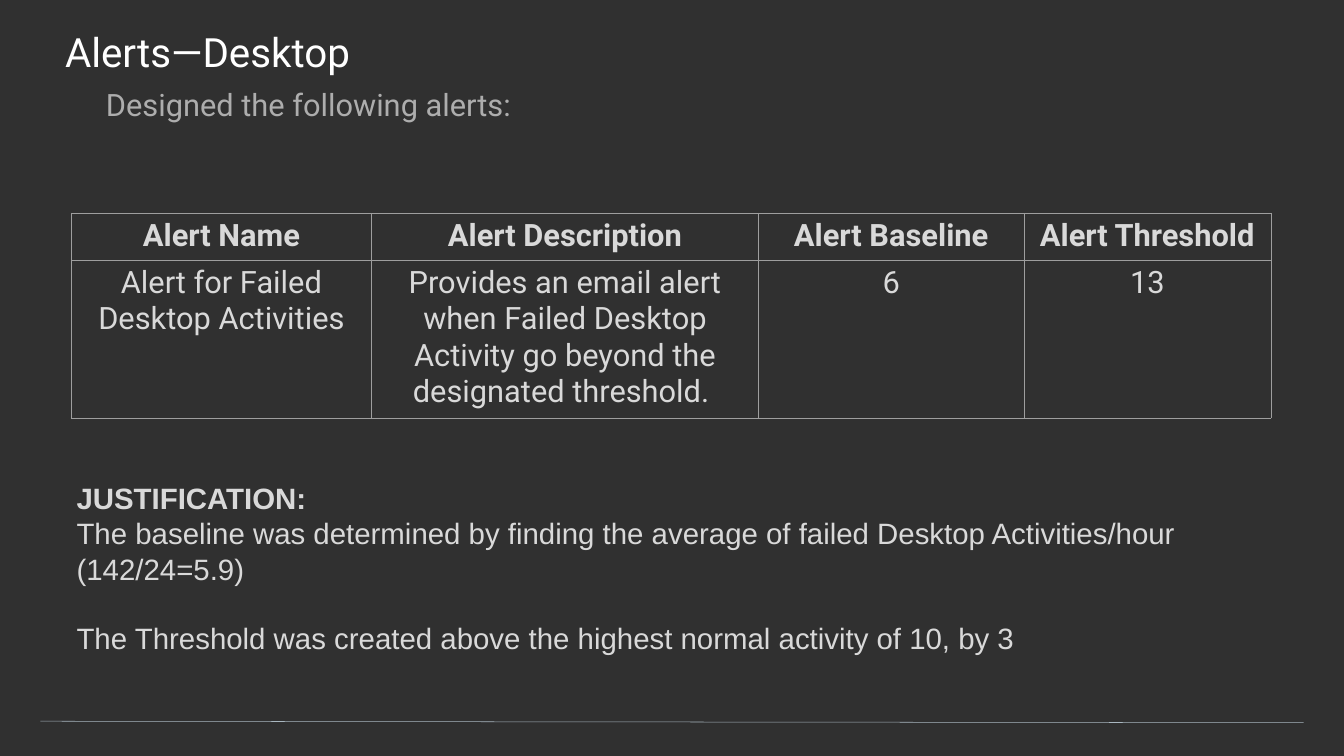
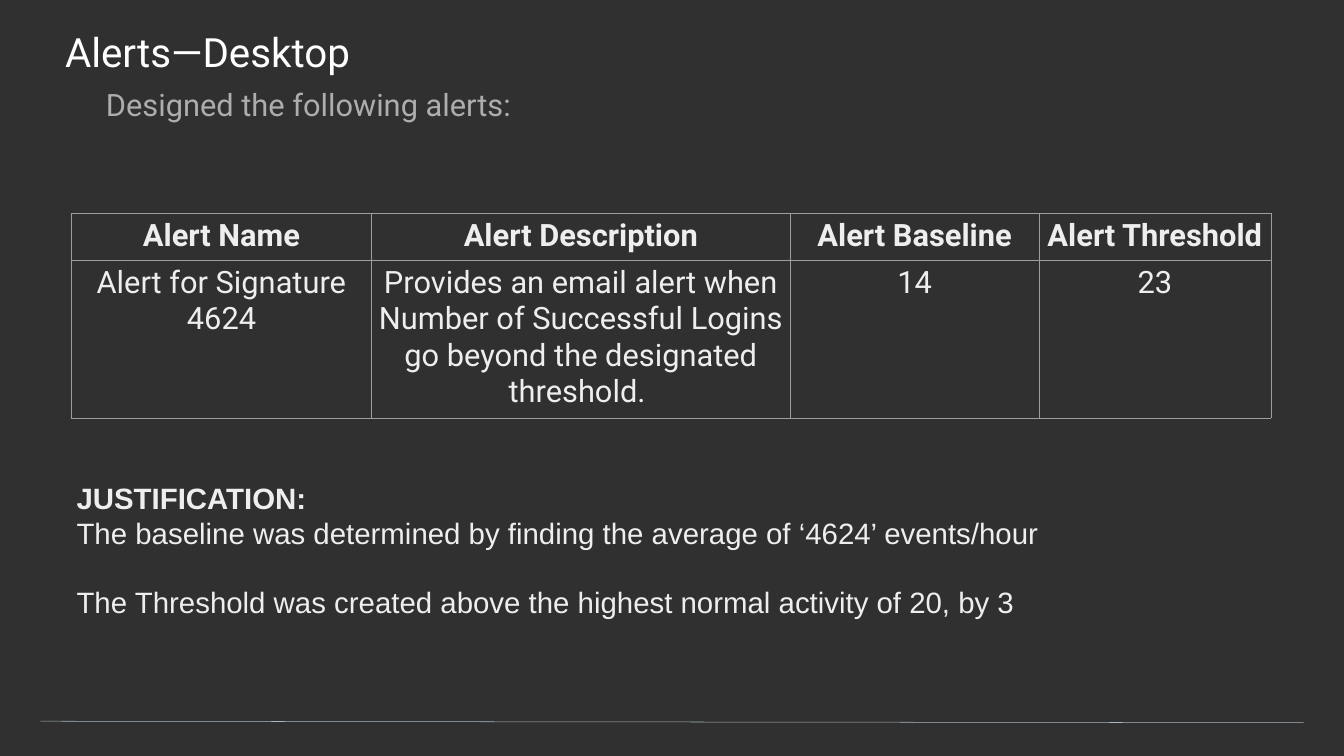
from dataclasses import dataclass

from lxml import etree
from pptx import Presentation
from pptx.dml.color import RGBColor
from pptx.enum.shapes import MSO_CONNECTOR
from pptx.enum.text import MSO_ANCHOR, MSO_AUTO_SIZE, PP_ALIGN
from pptx.oxml.ns import qn
from pptx.shapes.autoshape import Shape
from pptx.slide import Slide
from pptx.table import _Cell
from pptx.text.text import _Paragraph
from pptx.util import Emu, Pt

STRAIGHT = MSO_CONNECTOR.STRAIGHT
TOP = MSO_ANCHOR.TOP
CENTER = PP_ALIGN.CENTER
GROW = MSO_AUTO_SIZE.SHAPE_TO_FIT_TEXT

BACK, WHITE, MUTED = "303030", "FFFFFF", "ADADAD"
RULE, GRID = "A9B7C0", "9E9E9E"
HEAD, BODY = "Roboto", "Arial"
PAD = (10, 10, 10, 10)
HEADS = ("Alert Name", "Alert Description", "Alert Baseline", "Alert Threshold")


@dataclass(frozen=True)
class Style:
    font: str
    size: float
    color: str
    bold: bool = False


@dataclass(frozen=True)
class Alert:
    color: str
    cols: tuple[int, ...]
    rows: tuple[int, ...]
    cells: tuple[str, ...]
    basis: str
    limit: str
    height: int


ALERTS = (
    Alert(
        "D9D9D9", (595, 768, 526, 490), (42, 93),
        ("Alert for Failed Desktop Activities",
         "Provides an email alert when Failed Desktop Activity go beyond "
         "the designated threshold. ", "6", "13"),
        "The baseline was determined by finding the average of failed "
        "Desktop Activities/hour (142/24=5.9)",
        "The Threshold was created above the highest normal activity of 10, by 3",
        374,
    ),
    Alert(
        "EEEEEE", (595, 831, 493, 460), (42, 163),
        ("Alert for Signature 4624",
         "Provides an email alert when Number of Successful Logins go beyond "
         "the designated threshold. ", "14", "23"),
        "The baseline was determined by finding the average of "
        "‘4624’ events/hour",
        "The Threshold was created above the highest normal activity of 20, by 3",
        303,
    ),
)


def px(n: int) -> Emu:
    """Turn px, 100 to the inch, into EMU."""
    return Emu(n * 9144)


def rgb(color: str) -> RGBColor:
    return RGBColor.from_string(color)


def add_run(para: _Paragraph, text: str, style: Style) -> None:
    run = para.add_run()
    run.text = text
    font = run.font
    font.name, font.size, font.bold = style.font, Pt(style.size), style.bold
    font.color.rgb = rgb(style.color)


def add_box(slide: Slide, area: tuple[int, ...], pad: tuple[int, ...]) -> Shape:
    box = slide.shapes.add_textbox(*map(px, area))
    frame = box.text_frame
    frame.word_wrap = True
    frame.vertical_anchor = TOP
    (frame.margin_left, frame.margin_top,
     frame.margin_right, frame.margin_bottom) = map(px, pad)
    return box


def add_rule(slide: Slide) -> None:
    line = slide.shapes.add_connector(STRAIGHT, *map(px, (80, 1431, 2586, 1434)))
    line.line.color.rgb = rgb(RULE)
    line.line.width = Pt(0.75)
    etree.SubElement(line._element.spPr, qn("a:effectLst"))


def add_frame(slide: Slide) -> None:
    """Draw the background, rule, title and lead line of every slide."""
    fill = slide.background.fill
    fill.solid()
    fill.fore_color.rgb = rgb(BACK)
    add_rule(slide)
    title = add_box(slide, (-4, 0, 2673, 156), (133, 53, 80, 27))
    add_run(title.text_frame.paragraphs[0], "Alerts—Desktop",
            Style(HEAD, 57.6, WHITE))
    lead = add_box(slide, (77, 251, 2509, 1079), (133, 0, 133, 267))
    para = lead.text_frame.paragraphs[0]
    para.line_spacing = 1.15
    add_run(para, "Designed the following alerts:", Style(HEAD, 44, MUTED))


def add_edges(cell: _Cell) -> None:
    props = cell._tc.get_or_add_tcPr()
    for side in ("a:lnL", "a:lnR", "a:lnT", "a:lnB"):
        edge = etree.SubElement(props, qn(side), w=str(Pt(0.75)))
        fill = etree.SubElement(edge, qn("a:solidFill"))
        etree.SubElement(fill, qn("a:srgbClr"), val=GRID)


def fill_cell(cell: _Cell, text: str, style: Style) -> None:
    add_edges(cell)
    cell.fill.background()
    (cell.margin_left, cell.margin_top,
     cell.margin_right, cell.margin_bottom) = map(px, PAD)
    para = cell.text_frame.paragraphs[0]
    para.alignment = CENTER
    add_run(para, text, style)


def add_grid(slide: Slide, alert: Alert) -> None:
    area = (142, 423, sum(alert.cols), sum(alert.rows))
    table = slide.shapes.add_table(
        len(alert.rows), len(alert.cols), *map(px, area)).table
    table.first_row = table.horz_banding = False
    for col, width in zip(table.columns, alert.cols):
        col.width = px(width)
    for row, height in zip(table.rows, alert.rows):
        row.height = px(height)
    for r, texts in enumerate((HEADS, alert.cells)):
        style = Style(HEAD, 44, alert.color, r == 0)
        for c, text in enumerate(texts):
            fill_cell(table.cell(r, c), text, style)


def add_reason(slide: Slide, alert: Alert) -> None:
    box = add_box(slide, (142, 943, 2379, alert.height), PAD)
    frame = box.text_frame
    frame.auto_size = GROW
    plain = Style(BODY, 42, alert.color)
    para = frame.paragraphs[0]
    add_run(para, "JUSTIFICATION: ", Style(BODY, 42, alert.color, True))
    para.add_line_break()
    add_run(para, alert.basis, plain)
    para = frame.add_paragraph()
    para.space_before = Pt(48)
    add_run(para, alert.limit, plain)


def main() -> None:
    deck = Presentation()
    deck.slide_width, deck.slide_height = px(2666), px(1500)
    blank = deck.slide_layouts[6]
    for alert in ALERTS:
        slide = deck.slides.add_slide(blank)
        add_frame(slide)
        add_grid(slide, alert)
        add_reason(slide, alert)
    deck.save("out.pptx")


if __name__ == "__main__":
    main()
